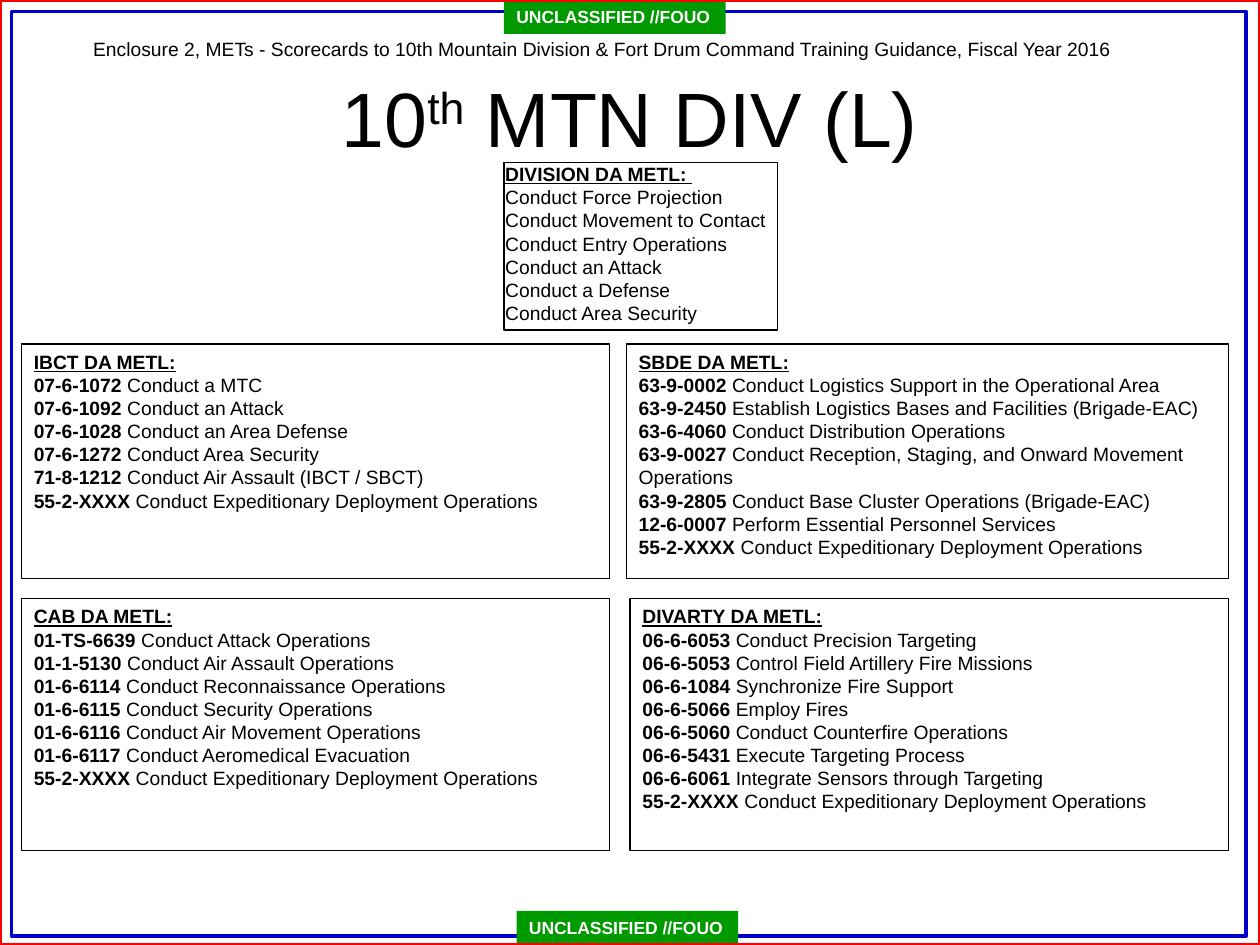
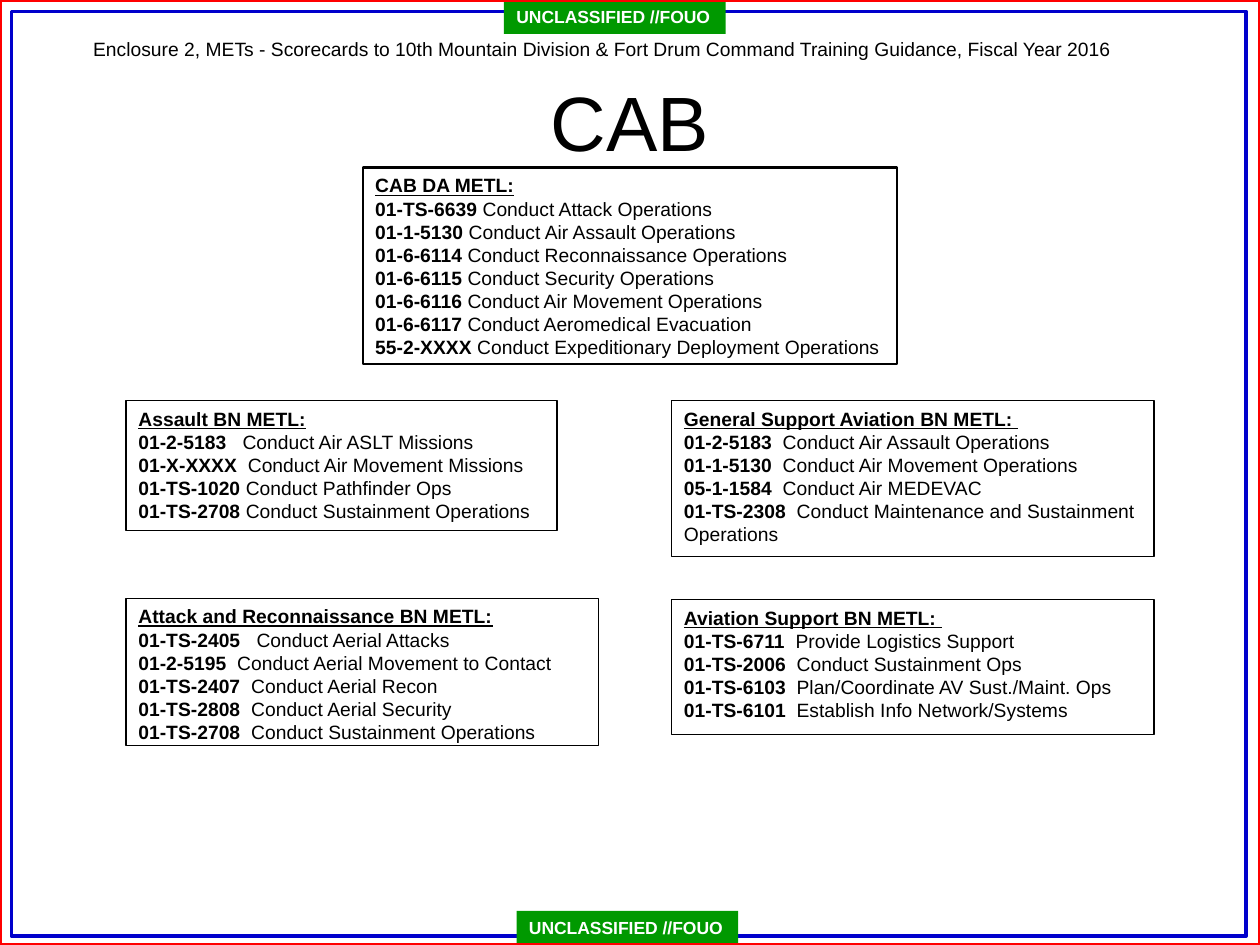
from dataclasses import dataclass

from pptx import Presentation
from pptx.dml.color import RGBColor
from pptx.enum.shapes import MSO_SHAPE
from pptx.enum.text import MSO_ANCHOR, PP_ALIGN
from pptx.util import Inches, Pt

RECTANGLE = MSO_SHAPE.RECTANGLE
TOP, MIDDLE = MSO_ANCHOR.TOP, MSO_ANCHOR.MIDDLE
LEFT, CENTER = PP_ALIGN.LEFT, PP_ALIGN.CENTER

WIDTH, HEIGHT = 10, 7.5      # inches
COLUMNS, ROWS = 100, 75      # grid that every box is measured in


@dataclass(frozen=True)
class Theme:
    """Colours, type sizes and line widths of the deck."""
    font: str = "Arial"
    ink: str = "000000"
    paper: str = "FFFFFF"
    marking: str = "009900"
    inner_border: str = "0000CC"
    outer_border: str = "FF0000"
    title_size: float = 44
    body_size: float = 11
    marking_size: float = 10
    thin: float = 0.75
    strong: float = 1.5
    border: float = 2
    space: float = 3.06      # width of a space at body size


@dataclass(frozen=True)
class Box:
    """A rectangle in grid columns and rows."""
    left: float
    top: float
    width: float
    height: float

    def inside(self, left, top, width, height):
        """Return a box placed relative to this one."""
        return Box(self.left + left, self.top + top, width, height)

    def place(self):
        """Return left, top, width and height as slide lengths."""
        column, row = WIDTH / COLUMNS, HEIGHT / ROWS
        return (Inches(self.left * column), Inches(self.top * row),
                Inches(self.width * column), Inches(self.height * row))


THEME = Theme()
PAGE = Box(0, 0, COLUMNS, ROWS)
MARKING = "UNCLASSIFIED //FOUO"
ENCLOSURE = ("Enclosure 2, METs - Scorecards to 10th Mountain Division & Fort Drum "
             "Command Training Guidance, Fiscal Year 2016")
DEPLOYMENT = ("55-2-XXXX", "Conduct Expeditionary Deployment Operations")

# A task is (code, name) with an optional gap in spaces between the two.
DIVISION = ("DIVISION DA METL: ", [
    ("", "Conduct Force Projection"),
    ("", "Conduct Movement to Contact"),
    ("", "Conduct Entry Operations"),
    ("", "Conduct an Attack"),
    ("", "Conduct a Defense"),
    ("", "Conduct Area Security"),
])
IBCT = ("IBCT DA METL:", [
    ("07-6-1072", "Conduct a MTC"),
    ("07-6-1092", "Conduct an Attack"),
    ("07-6-1028", "Conduct an Area Defense"),
    ("07-6-1272", "Conduct Area Security"),
    ("71-8-1212", "Conduct Air Assault (IBCT / SBCT)"),
    DEPLOYMENT,
])
SBDE = ("SBDE DA METL:", [
    ("63-9-0002", "Conduct Logistics Support in the Operational Area"),
    ("63-9-2450", "Establish Logistics Bases and Facilities (Brigade-EAC)"),
    ("63-6-4060", "Conduct Distribution Operations"),
    ("63-9-0027", "Conduct Reception, Staging, and Onward Movement Operations"),
    ("63-9-2805", "Conduct Base Cluster Operations (Brigade-EAC)"),
    ("12-6-0007", "Perform Essential Personnel Services"),
    DEPLOYMENT,
])
CAB = ("CAB DA METL:", [
    ("01-TS-6639", "Conduct Attack Operations"),
    ("01-1-5130", "Conduct Air Assault Operations"),
    ("01-6-6114", "Conduct Reconnaissance Operations"),
    ("01-6-6115", "Conduct Security Operations"),
    ("01-6-6116", "Conduct Air Movement Operations"),
    ("01-6-6117", "Conduct Aeromedical Evacuation"),
    DEPLOYMENT,
])
DIVARTY = ("DIVARTY DA METL:", [
    ("06-6-6053", "Conduct Precision Targeting"),
    ("06-6-5053", "Control Field Artillery Fire Missions"),
    ("06-6-1084", "Synchronize Fire Support"),
    ("06-6-5066", "Employ Fires"),
    ("06-6-5060", "Conduct Counterfire Operations"),
    ("06-6-5431", "Execute Targeting Process"),
    ("06-6-6061", "Integrate Sensors through Targeting"),
    DEPLOYMENT,
])
ASSAULT = ("Assault BN METL:", [
    ("01-2-5183", "Conduct Air ASLT Missions", 3),
    ("01-X-XXXX", "Conduct Air Movement Missions", 2),
    ("01-TS-1020", "Conduct Pathfinder Ops"),
    ("01-TS-2708", "Conduct Sustainment Operations"),
])
RECONNAISSANCE = ("Attack and Reconnaissance BN METL:", [
    ("01-TS-2405", "Conduct Aerial Attacks", 3),
    ("01-2-5195", "Conduct Aerial Movement to Contact", 2),
    ("01-TS-2407", "Conduct Aerial Recon", 2),
    ("01-TS-2808", "Conduct Aerial Security", 2),
    ("01-TS-2708", "Conduct Sustainment Operations", 2),
])
GENERAL_SUPPORT = ("General Support Aviation BN METL: ", [
    ("01-2-5183", "Conduct Air Assault Operations", 2),
    ("01-1-5130", "Conduct Air Movement Operations", 2),
    ("05-1-1584", "Conduct Air MEDEVAC", 2),
    ("01-TS-2308", "Conduct Maintenance and Sustainment Operations", 2),
])
AVIATION_SUPPORT = ("Aviation Support BN METL: ", [
    ("01-TS-6711", "Provide Logistics Support", 2),
    ("01-TS-2006", "Conduct Sustainment Ops", 2),
    ("01-TS-6103", "Plan/Coordinate AV Sust./Maint. Ops", 2),
    ("01-TS-6101", "Establish Info Network/Systems", 2),
])


def write(para, text, size=THEME.body_size, color=THEME.ink, bold=False,
          underline=False, spacing=0, raised=0):
    """Add one formatted span; spacing is in points, raised in percent."""
    span = para.add_run()
    span.text = text
    font = span.font
    font.name, font.size = THEME.font, Pt(size)
    font.bold, font.underline = bold, underline
    font.color.rgb = RGBColor.from_string(color)
    properties = span._r.get_or_add_rPr()
    if spacing:
        properties.set("spc", str(round(spacing * 100)))
    if raised:
        properties.set("baseline", str(raised * 1000))


def add_rectangle(page, box, fill=None, line=None, weight=THEME.thin):
    """Draw a plain rectangle with top left text."""
    shape = page.shapes.add_shape(RECTANGLE, *box.place())
    shape.shadow.inherit = False
    if fill:
        shape.fill.solid()
        shape.fill.fore_color.rgb = RGBColor.from_string(fill)
    else:
        shape.fill.background()
    if line:
        shape.line.color.rgb = RGBColor.from_string(line)
        shape.line.width = Pt(weight)
    else:
        shape.line.fill.background()
    shape.text_frame.vertical_anchor = TOP
    shape.text_frame.paragraphs[0].alignment = LEFT
    return shape


def add_text_box(page, box, anchor=TOP, align=LEFT):
    """Add a wrapping text box and return its first paragraph."""
    frame = page.shapes.add_textbox(*box.place()).text_frame
    frame.word_wrap = True
    frame.vertical_anchor = anchor
    frame.paragraphs[0].alignment = align
    return frame.paragraphs[0]


def add_marking(page, box):
    """Add one green classification marking."""
    frame = add_rectangle(page, box, fill=THEME.marking).text_frame
    frame.word_wrap = False
    write(frame.paragraphs[0], MARKING, size=THEME.marking_size,
          color=THEME.paper, bold=True)


def add_frame(page, box):
    """Add the borders, markings and enclosure line of every page."""
    add_rectangle(page, box.inside(0.9, 0.9, 98, 73.4),
                  line=THEME.inner_border, weight=THEME.border)
    marking_width, marking_height = 17.6, 2.7
    add_marking(page, box.inside(40, 0, marking_width, marking_height))
    add_marking(page, box.inside(41, box.height - marking_height,
                                 marking_width, marking_height))
    add_rectangle(page, box, line=THEME.outer_border, weight=THEME.border)
    write(add_text_box(page, box.inside(6.4, 2.5, 83.5, 5.9)), ENCLOSURE)


def add_title(page, box, spans):
    """Add the centred title; each span is (text, percent raised)."""
    para = add_text_box(page, box, anchor=MIDDLE, align=CENTER)
    for text, raised in spans:
        write(para, text, size=THEME.title_size, raised=raised)


def add_task_list(page, box, unit, weight=THEME.thin, inset=None):
    """Add a bordered list of tasks under the heading of its unit."""
    heading, tasks = unit
    frame = add_rectangle(page, box, line=THEME.ink, weight=weight).text_frame
    frame.word_wrap = True
    if inset is not None:
        frame.margin_left = Inches(inset)
        frame.margin_top = frame.margin_right = frame.margin_bottom = 0
    write(frame.paragraphs[0], heading, bold=True, underline=True)
    for code, name, *gap in tasks:
        para = frame.add_paragraph()
        para.alignment = LEFT
        if code:
            extra = sum(gap) - 1 if gap else 0
            write(para, code, bold=True)
            write(para, " ", spacing=extra * THEME.space)
        write(para, name)


def add_page(deck, title_top, title):
    """Add a blank page with the shared frame and a title."""
    page = deck.slides.add_slide(deck.slide_layouts[6])
    add_frame(page, PAGE)
    add_title(page, PAGE.inside(5, title_top, 90, 12.5), title)
    return page


def build_division(deck):
    """Build the division page: one list above four brigade lists."""
    page = add_page(deck, 3, [("10", 0), ("th", 30), (" MTN DIV (L)", 0)])
    add_task_list(page, PAGE.inside(40, 12.9, 21.7, 13.3), DIVISION, inset=0.01)
    left, width, right_edge = 1.7, 46.7, 97.5
    upper, lower = (27.3, 18.6), (47.5, 20)
    for (top, height), start, left_unit, right_unit in (
            (upper, 49.7, IBCT, SBDE), (lower, 50, CAB, DIVARTY)):
        add_task_list(page, PAGE.inside(left, top, width, height), left_unit)
        add_task_list(page, PAGE.inside(start, top, right_edge - start, height),
                      right_unit)


def build_brigade(deck):
    """Build the brigade page: one list above four battalion lists."""
    page = add_page(deck, 3.3, [("CAB", 0)])
    add_task_list(page, PAGE.inside(28.8, 13.3, 42.4, 15.6), CAB,
                  weight=THEME.strong)
    left, right, right_width = 10, 53.3, 38.3
    upper, lower = 31.8, 47.5
    for unit, box in (
            (ASSAULT, (left, upper, 34.2, 10.3)),
            (RECONNAISSANCE, (left, lower, 37.5, 11.7)),
            (GENERAL_SUPPORT, (right, upper, right_width, 12.4)),
            (AVIATION_SUPPORT, (right, lower + 0.1, right_width, 10.7))):
        add_task_list(page, PAGE.inside(*box), unit)


deck = Presentation()
deck.slide_width, deck.slide_height = Inches(WIDTH), Inches(HEIGHT)
build_division(deck)
build_brigade(deck)
deck.save("out.pptx")
